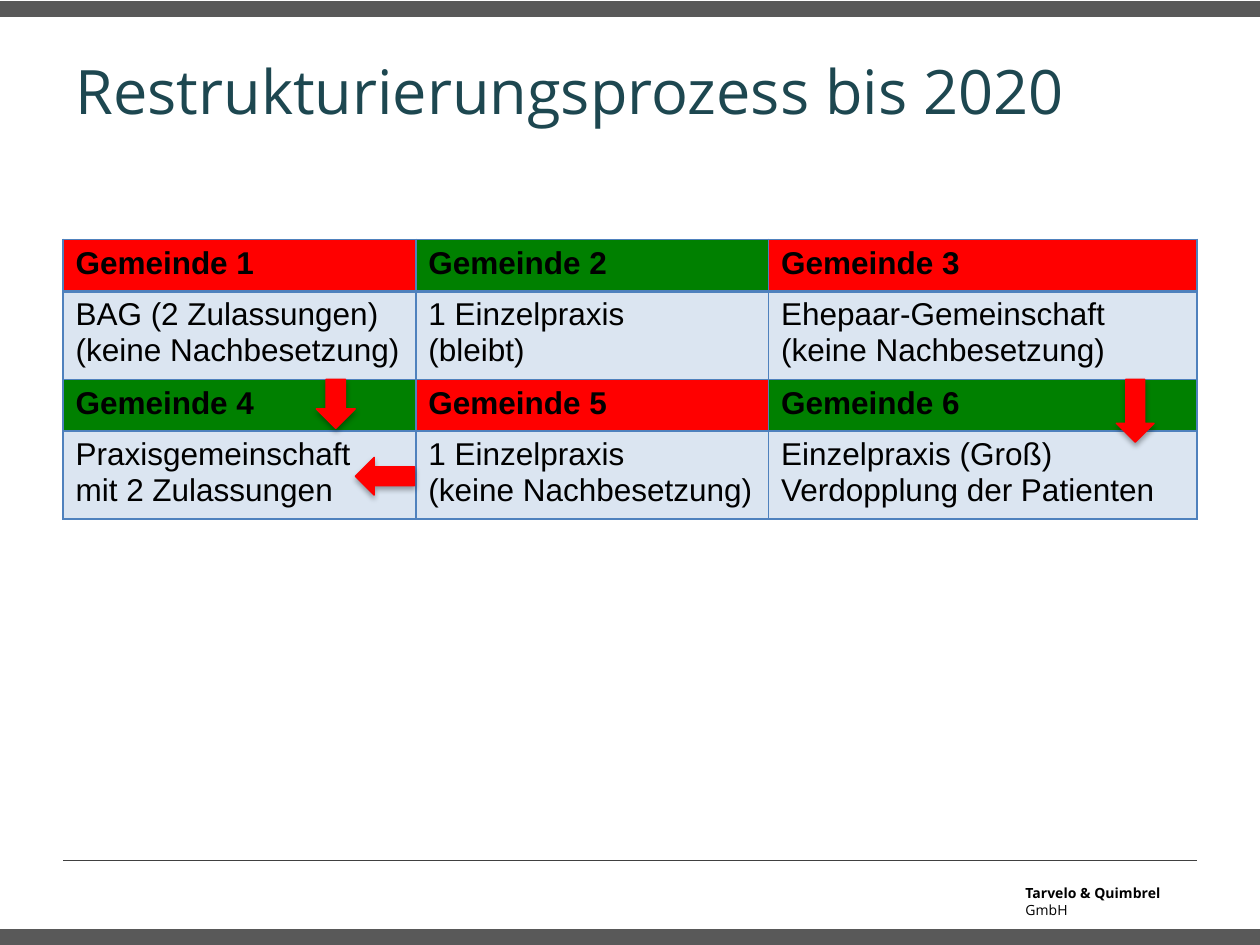
"""Builds a slide with a table of municipalities and arrows showing the restructuring until 2020."""
from lxml import etree
from pptx import Presentation
from pptx.dml.color import RGBColor
from pptx.enum.shapes import MSO_CONNECTOR as Connector, MSO_SHAPE as Shape
from pptx.enum.text import MSO_ANCHOR as Anchor
from pptx.oxml import parse_xml
from pptx.oxml.ns import nsdecls, qn
from pptx.util import Pt

PX = 9144
COLORS = {
    "bar": "595959", "rule": "404040", "title": "1D4750", "text": "000000",
    "closing": "FF0000", "staying": "008000", "blue": "4F81BD",
}
SHADOW = (
    f'<a:effectLst {nsdecls("a")}><a:outerShdw blurRad="40000" dist="23000" dir="5400000" '
    'rotWithShape="0"><a:srgbClr val="000000"><a:alpha val="35000"/></a:srgbClr>'
    '</a:outerShdw></a:effectLst>'
)
MUNICIPALITIES = [
    [("Gemeinde 1", "closing", ["BAG (2 Zulassungen)", "(keine Nachbesetzung)"]),
     ("Gemeinde 2", "staying", ["1 Einzelpraxis", "(bleibt)"]),
     ("Gemeinde 3", "closing", ["Ehepaar-Gemeinschaft", "(keine Nachbesetzung)"])],
    [("Gemeinde 4", "staying", ["Praxisgemeinschaft", "mit 2 Zulassungen"]),
     ("Gemeinde 5", "closing", ["1 Einzelpraxis", "(keine Nachbesetzung)"]),
     ("Gemeinde 6", "staying", ["Einzelpraxis (Groß)", "Verdopplung der Patienten"])],
]
ARROWS = [
    (Shape.LEFT_ARROW, 282, 363, 47, 30),
    (Shape.DOWN_ARROW, 251, 301, 31, 39),
    (Shape.DOWN_ARROW, 886, 301, 30, 50),
]


class SlideBuilder:
    """Holds the style and the current slide."""

    def __init__(self, page, heading_font="Open Sans", table_font="Arial"):
        self.page = page
        self.heading_font = heading_font
        self.table_font = table_font

    def color(self, name):
        return RGBColor.from_string(COLORS[name])

    def place(self, *lengths):
        return [length * PX for length in lengths]

    def span(self, para, text, size, font, color="text", bold=False):
        span = para.add_run()
        span.text = text
        span.font.size = Pt(size)
        span.font.name = font
        span.font.bold = bold
        span.font.color.rgb = self.color(color)

    def shape(self, kind, left, top, width, height, color):
        shape = self.page.shapes.add_shape(kind, *self.place(left, top, width, height))
        shape.shadow.inherit = False
        shape.fill.solid()
        shape.fill.fore_color.rgb = self.color(color)
        shape.line.color.rgb = self.color(color)
        shape.line.width = Pt(0.75)
        return shape

    def arrow(self, kind, left, top, width, height):
        properties = self.shape(kind, left, top, width, height, "closing")._element.spPr
        properties.replace(properties.find(qn("a:effectLst")), parse_xml(SHADOW))

    def rule(self, left, top, right):
        line = self.page.shapes.add_connector(
            Connector.STRAIGHT, *self.place(left, top, right, top))
        line.line.color.rgb = self.color("rule")
        line.line.width = Pt(0.25)
        etree.SubElement(line._element.spPr, qn("a:effectLst"))

    def text(self, left, top, width, height, spans, size, color="text", anchor=Anchor.TOP):
        box = self.page.shapes.add_textbox(*self.place(left, top, width, height))
        box.text_frame.word_wrap = True
        box.text_frame.vertical_anchor = anchor
        for text, bold in spans:
            self.span(box.text_frame.paragraphs[0], text, size, self.heading_font, color, bold)

    def cell(self, cell, lines, fill, bold=False, opacity=100, bottom=1):
        properties = cell._tc.get_or_add_tcPr()
        for side, width in (("L", 1), ("R", 1), ("T", 1), ("B", bottom)):
            properties.append(parse_xml(
                f'<a:ln{side} {nsdecls("a")} w="{Pt(width)}"><a:solidFill>'
                f'<a:srgbClr val="{COLORS["blue"]}"/></a:solidFill></a:ln{side}>'))
        cell.fill.solid()
        cell.fill.fore_color.rgb = self.color(fill)
        if opacity < 100:
            tint = properties.find(qn("a:solidFill")).find(qn("a:srgbClr"))
            etree.SubElement(tint, qn("a:alpha")).set("val", str(opacity * 1000))
        frame = cell.text_frame
        for index, line in enumerate(lines):
            para = frame.add_paragraph() if index else frame.paragraphs[0]
            self.span(para, line, 18, self.table_font, bold=bold)

    def table(self, left, top, widths, row_height, groups):
        rows = 2 * len(groups)
        table = self.page.shapes.add_table(
            rows, len(widths), *self.place(left, top, sum(widths), rows * row_height)).table
        table.first_row = table.horz_banding = False
        for column, width in zip(table.columns, widths):
            column.width = width * PX
        for index, group in enumerate(groups):
            for column, (name, state, details) in enumerate(group):
                self.cell(table.cell(2 * index, column), [name], state, bold=True,
                          bottom=1 if index else 2)
                self.cell(table.cell(2 * index + 1, column), details, "blue", opacity=20)


def main():
    deck = Presentation()
    deck.slide_width, deck.slide_height = 1000 * PX, 750 * PX
    builder = SlideBuilder(deck.slides.add_slide(deck.slide_layouts[6]))
    for top in (1, 738):
        builder.shape(Shape.RECTANGLE, 0, top, 1000, 12, "bar")
    builder.rule(50, 683, 950)
    builder.text(804, 697, 154, 24, [("Tarvelo & Quimbrel ", True), ("GmbH", False)], 8)
    builder.text(50, 30, 900, 83, [("Restrukturierungsprozess bis 2020", False)], 35,
                 "title", Anchor.MIDDLE)
    builder.table(50, 190, [280, 280, 340], 41, MUNICIPALITIES)
    for arrow in ARROWS:
        builder.arrow(*arrow)
    deck.save("out.pptx")


if __name__ == "__main__":
    main()
